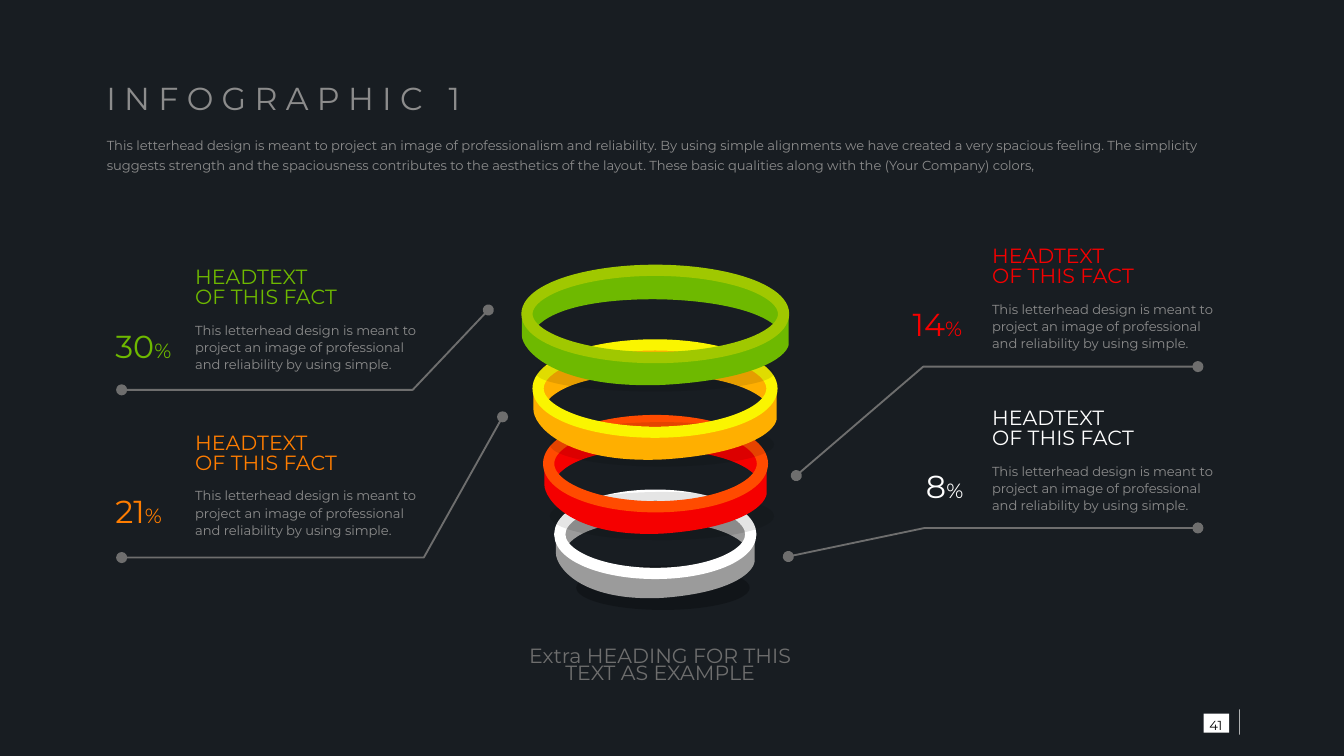
import dataclasses

import pptx
import pptx.dml.color
import pptx.enum.shapes
import pptx.enum.text
import pptx.oxml.ns
import pptx.util
from lxml import etree

Cm = pptx.util.Cm
Pt = pptx.util.Pt
RGB = pptx.dml.color.RGBColor.from_string
qn = pptx.oxml.ns.qn
KIND = pptx.enum.shapes.MSO_SHAPE
ALIGN = pptx.enum.text.PP_ALIGN


@dataclasses.dataclass(frozen=True)
class Theme:
    font: str = "Montserrat"
    back: str = "181D22"
    text: str = "8C8C8C"
    dim: str = "6E6E6E"
    white: str = "FFFFFF"
    black: str = "000000"
    gray: str = "9B9B9B"
    red: str = "F50000"
    flame: str = "FF4B00"
    orange: str = "FF7D00"
    amber: str = "FFAF00"
    yellow: str = "FAF500"
    green: str = "6EB900"
    lime: str = "A0C800"
    big: int = 17
    mid: int = 11
    small: int = 7


theme = Theme()
deck = pptx.Presentation()
deck.slide_width, deck.slide_height = Cm(25.4), Cm(14.29)
slide = deck.slides.add_slide(deck.slide_layouts[6])
slide.background.fill.solid()
slide.background.fill.fore_color.rgb = RGB(theme.back)
shapes = slide.shapes


def write(box, paras, space=1.0, align=ALIGN.LEFT):
    """Add a text box; each paragraph is a list of (text, size, colour) runs."""
    frame = shapes.add_textbox(*map(Cm, box)).text_frame
    frame.word_wrap = True
    frame.vertical_anchor = pptx.enum.text.MSO_ANCHOR.MIDDLE
    frame.margin_left = frame.margin_right = 0
    frame.margin_top = frame.margin_bottom = 0
    for i, runs in enumerate(paras):
        para = frame.add_paragraph() if i else frame.paragraphs[0]
        para.line_spacing = space
        para.alignment = align
        for text, size, color in runs:
            run = para.add_run()
            run.text = text
            run.font.name = theme.font
            run.font.size = Pt(size)
            run.font.color.rgb = RGB(color)
    return frame


def paint(shape, fill=None, line=None, width=1):
    shape.shadow.inherit = False
    if fill:
        shape.fill.solid()
        shape.fill.fore_color.rgb = RGB(fill)
    else:
        shape.fill.background()
    if line:
        shape.line.color.rgb = RGB(line)
        shape.line.width = Pt(width)
    else:
        shape.line.fill.background()


# Title and intro
title = write((2.01, 1.52, 11.2, 0.84), [[
    ("I N F O G R A P H I C", theme.big, theme.text),
    (" ", theme.big, theme.text),
    ("1", theme.big, theme.text)]], 0.7)
gap = title.paragraphs[0].runs[1]
gap.font._element.set("spc", "900")
write((2.02, 2.5, 21.11, 0.79), [[(
    "This letterhead design is meant to project an image of professionalism "
    "and reliability. By using simple alignments we have created a very "
    "spacious feeling. The simplicity suggests strength and the spaciousness "
    "contributes to the aesthetics of the layout. These basic qualities along "
    "with the (Your Company) colors,", theme.small, theme.text)]], 1.3)

# Ring bands: frame (left, top, width, height) in units of the ring's box,
# then path steps in units of that frame; three points make a curve.
bands = [
    ((0, 0.01, 1, 0.63), [
        ("moveTo", (0.04, 1)),
        ("cubicBezTo", (0.12, 0.61), (0.33, 0.51), (0.49, 0.51)),
        ("cubicBezTo", (0.65, 0.51), (0.88, 0.63), (0.97, 1)),
        ("cubicBezTo", (1.04, 0.71), (0.97, 0.2), (0.65, 0.05)),
        ("cubicBezTo", (0.35, -0.1), (0, 0.22), (0, 0.76)),
        ("cubicBezTo", (0.01, 1), (0.04, 1), (0.04, 1))]),
    ((-0.02, 0.51, 1.04, 0.81), [
        ("moveTo", (0, 0.06)),
        ("lnTo", (0, 0.29)),
        ("cubicBezTo", (0, 0.49), (0.12, 1.05), (0.53, 0.99)),
        ("cubicBezTo", (0.86, 0.92), (0.99, 0.62), (1, 0.42)),
        ("lnTo", (1, 0)),
        ("cubicBezTo", (1, 0), (0.93, 0.42), (0.72, 0.58)),
        ("cubicBezTo", (0.5, 0.72), (0.13, 0.71), (0, 0.06))]),
]

# Rings from the bottom up: box, side, rim, shadow box, shadow opacity
rings = [
    ((10.58, 9.36, 3.61, 1.48), theme.gray, theme.white,
     (10.89, 10.69, 3.28, 0.84), 25),
    ((10.37, 7.95, 4.04, 1.63), theme.red, theme.flame,
     (10.39, 9.3, 4.24, 0.91), 10),
    ((10.17, 6.52, 4.42, 1.65), theme.amber, theme.yellow,
     (10.39, 7.98, 4.24, 0.84), 10),
    ((9.96, 5.11, 4.85, 1.65), theme.green, theme.lime,
     (10.13, 6.71, 4.5, 0.69), 10),
]
for box, side, rim, under, alpha in rings:
    shade = shapes.add_shape(KIND.OVAL, *map(Cm, under))
    paint(shade, theme.black)
    tint = shade.fill._xPr.find(qn("a:solidFill"))[0]
    etree.SubElement(tint, qn("a:alpha")).set("val", str(alpha * 1000))
    x, y, w, h = box
    for (left, top, wide, high), steps in bands:
        near = Cm(x + w * left), Cm(y + h * top)
        size = Cm(w * wide), Cm(h * high)
        pen = shapes.build_freeform(*near)
        pen.add_line_segments([(near[0] + size[0], near[1] + size[1])])
        band = pen.convert_to_shape()
        paint(band, side)
        curve = next(band._element.iter(qn("a:path")))
        for old in list(curve):
            curve.remove(old)
        for name, *dots in steps:
            step = etree.SubElement(curve, qn("a:" + name))
            for p, q in dots:
                dot = etree.SubElement(step, qn("a:pt"))
                dot.set("x", str(round(p * size[0])))
                dot.set("y", str(round(q * size[1])))
        etree.SubElement(curve, qn("a:close"))
    paint(shapes.add_shape(KIND.OVAL, *map(Cm, box)), None, rim, 6)

write((9.84, 12.14, 5.28, 0.94),
      [[("Extra HEADING FOR THIS TEXT AS EXAMPLE", theme.mid, theme.dim)]],
      0.7, ALIGN.CENTER)

# Facts: number, colour, number left, text left, top, leader points
facts = [
    ("30", theme.green, 2.18, 3.69, 4.9,
     [(9.23, 5.86), (7.8, 7.37), (2.3, 7.37)]),
    ("21", theme.orange, 2.18, 3.69, 8.03,
     [(9.5, 7.88), (8.01, 10.54), (2.3, 10.54)]),
    ("14", theme.red, 17.25, 18.75, 4.5,
     [(15.05, 8.99), (17.45, 6.93), (22.64, 6.93)]),
    ("8", theme.white, 17.5, 18.75, 7.56,
     [(14.9, 10.52), (17.48, 9.98), (22.64, 9.98)]),
]
for num, color, edge, left, top, route in facts:
    write((left, top, 4.04, 1.12),
          [[(row, theme.mid, color)] for row in ("HEADTEXT", "OF THIS FACT")],
          0.8)
    write((left, top + 1.04, 4.24, 1.22), [[(
        "This letterhead design is meant to project an image of professional "
        "and reliability by using simple.", theme.small, theme.text)]], 1.1)
    write((edge, top + 1.21, 1.22, 0.84),
          [[(num, theme.big, color), ("%", theme.mid, color)]])
    points = [(Cm(x), Cm(y)) for x, y in route]
    pen = shapes.build_freeform(*points[0])
    pen.add_line_segments(points[1:], close=False)
    lead = pen.convert_to_shape()
    paint(lead, None, theme.dim)
    for end in ("a:headEnd", "a:tailEnd"):
        etree.SubElement(lead.line._get_or_add_ln(), qn(end)).set("type", "oval")

# Page number
paint(shapes.add_shape(KIND.RECTANGLE, Cm(22.75), Cm(13.49), Cm(0.48), Cm(0.36)),
      theme.white)
write((22.69, 13.46, 0.58, 0.41), [[("41", theme.small, theme.black)]],
      1.3, ALIGN.CENTER)
paint(shapes.add_shape(KIND.RECTANGLE, Cm(23.42), Cm(13.41), Cm(0.01), Cm(0.48)),
      theme.white)

deck.save("out.pptx")
